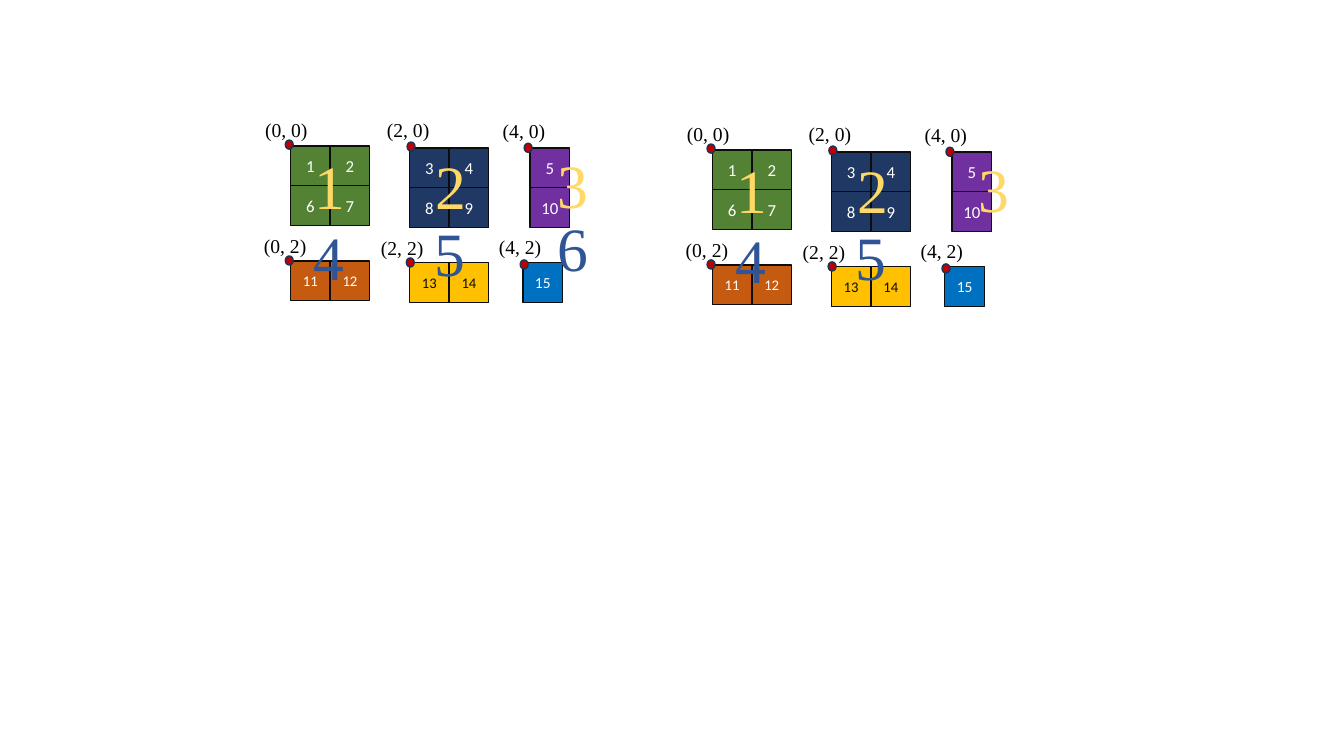
from dataclasses import dataclass

from pptx import Presentation
from pptx.dml.color import RGBColor
from pptx.enum.shapes import MSO_SHAPE
from pptx.enum.text import MSO_ANCHOR, MSO_AUTO_SIZE, PP_ALIGN
from pptx.shapes.autoshape import Shape
from pptx.shapes.shapetree import GroupShapes, SlideShapes
from pptx.util import Cm, Pt

RECTANGLE, OVAL = MSO_SHAPE.RECTANGLE, MSO_SHAPE.OVAL
CENTER, LEFT = PP_ALIGN.CENTER, PP_ALIGN.LEFT
MIDDLE, TOP = MSO_ANCHOR.MIDDLE, MSO_ANCHOR.TOP
GROW = MSO_AUTO_SIZE.SHAPE_TO_FIT_TEXT

Point = tuple[float, float]


@dataclass(frozen=True)
class Theme:
    cell_font: str = "Calibri"
    label_font: str = "Times New Roman"
    cell_size: float = 12
    wide_cell_size: float = 10.5
    single_cell_size: float = 11
    origin_size: float = 14
    order_size: float = 44
    line_width: float = 1
    white: str = "FFFFFF"
    black: str = "000000"
    ink: str = "0D0D0D"
    green: str = "548235"
    navy: str = "203864"
    purple: str = "7030A0"
    orange: str = "C55A11"
    gold: str = "FFC000"
    blue: str = "0070C0"
    marker_fill: str = "C00000"
    marker_line: str = "1E3256"
    top_order: str = "FFD966"
    bottom_order: str = "2F5597"


@dataclass(frozen=True)
class Tile:
    """A block of matrix cells; all points are in centimetres."""
    order: int
    origin: str
    rows: tuple[tuple[int, ...], ...]
    fill: str
    order_color: str
    cells_at: Point
    marker_at: Point
    origin_at: Point
    order_at: Point
    size: float
    color: str


@dataclass(frozen=True)
class Panel:
    offset: Point
    tile_count: int


THEME = Theme()
CELL = 1.0
MARKER_SIZE = (0.2, 0.23)
ORIGIN_BOX = (1.6, 0.86)
ORDER_BOX = (1.3, 2.13)

TILES = (
    Tile(1, "(0, 0)", ((1, 2), (6, 7)), THEME.green, THEME.top_order,
         (7.32, 3.68), (7.19, 3.53), (6.43, 2.84), (7.67, 3.61),
         THEME.cell_size, THEME.white),
    Tile(2, "(2, 0)", ((3, 4), (8, 9)), THEME.navy, THEME.top_order,
         (10.32, 3.73), (10.26, 3.58), (9.5, 2.84), (10.72, 3.61),
         THEME.cell_size, THEME.white),
    Tile(3, "(4, 0)", ((5,), (10,)), THEME.purple, THEME.top_order,
         (13.36, 3.73), (13.21, 3.61), (12.42, 2.87), (13.79, 3.58),
         THEME.cell_size, THEME.white),
    Tile(4, "(0, 2)", ((11, 12),), THEME.orange, THEME.bottom_order,
         (7.32, 6.58), (7.19, 6.45), (6.4, 5.77), (7.65, 5.38),
         THEME.wide_cell_size, THEME.white),
    Tile(5, "(2, 2)", ((13, 14),), THEME.gold, THEME.bottom_order,
         (10.32, 6.62), (10.24, 6.5), (9.35, 5.82), (10.69, 5.28),
         THEME.wide_cell_size, THEME.ink),
    Tile(6, "(4, 2)", ((15,),), THEME.blue, THEME.bottom_order,
         (13.18, 6.62), (13.11, 6.55), (12.32, 5.79), (13.79, 5.16),
         THEME.single_cell_size, THEME.white),
)
# The second panel leaves the order number of its last tile out.
PANELS = (Panel((0, 0), 6), Panel((10.63, 0.1), 5))


def write(shape: Shape, text: str, *, font: str, size: float, color: str,
          align: PP_ALIGN = LEFT, anchor: MSO_ANCHOR = TOP) -> None:
    frame = shape.text_frame
    frame.vertical_anchor = anchor
    paragraph = frame.paragraphs[0]
    paragraph.alignment = align
    run = paragraph.add_run()
    run.text = text
    run.font.name = font
    run.font.size = Pt(size)
    run.font.color.rgb = RGBColor.from_string(color)


def add_outlined(shapes: GroupShapes, kind: MSO_SHAPE, at: Point, size: Point,
                 fill: str, line: str) -> Shape:
    shape = shapes.add_shape(kind, *map(Cm, at + size))
    shape.shadow.inherit = False
    shape.fill.solid()
    shape.fill.fore_color.rgb = RGBColor.from_string(fill)
    shape.line.color.rgb = RGBColor.from_string(line)
    shape.line.width = Pt(THEME.line_width)
    return shape


def add_label(shapes: GroupShapes, text: str, at: Point, box: Point,
              size: float, color: str) -> None:
    label = shapes.add_textbox(*map(Cm, at + box))
    label.text_frame.word_wrap = False
    label.text_frame.auto_size = GROW
    write(label, text, font=THEME.label_font, size=size, color=color)


def add_cell(shapes: GroupShapes, value: int, at: Point, tile: Tile) -> None:
    cell = add_outlined(shapes, RECTANGLE, at, (CELL, CELL), tile.fill, THEME.ink)
    frame = cell.text_frame
    frame.margin_left = frame.margin_right = 0
    write(cell, str(value), font=THEME.cell_font, size=tile.size,
          color=tile.color, align=CENTER, anchor=MIDDLE)


def add_tile(slide_shapes: SlideShapes, tile: Tile, panel: Panel) -> None:
    shapes = slide_shapes.add_group_shape().shapes

    def shifted(point: Point) -> Point:
        return point[0] + panel.offset[0], point[1] + panel.offset[1]

    left, top = shifted(tile.cells_at)
    for row, values in enumerate(tile.rows):
        for column, value in enumerate(values):
            add_cell(shapes, value, (left + column * CELL, top + row * CELL), tile)
    add_outlined(shapes, OVAL, shifted(tile.marker_at), MARKER_SIZE,
                 THEME.marker_fill, THEME.marker_line)
    add_label(shapes, tile.origin, shifted(tile.origin_at), ORIGIN_BOX,
              THEME.origin_size, THEME.black)
    if tile.order <= panel.tile_count:
        add_label(shapes, str(tile.order), shifted(tile.order_at), ORDER_BOX,
                  THEME.order_size, tile.order_color)


def main() -> None:
    deck = Presentation()
    deck.slide_width, deck.slide_height = Cm(33.87), Cm(19.05)
    blank_layout = deck.slide_layouts[6]
    slide = deck.slides.add_slide(blank_layout)
    for panel in PANELS:
        for tile in TILES:
            add_tile(slide.shapes, tile, panel)
    deck.save("out.pptx")


if __name__ == "__main__":
    main()
